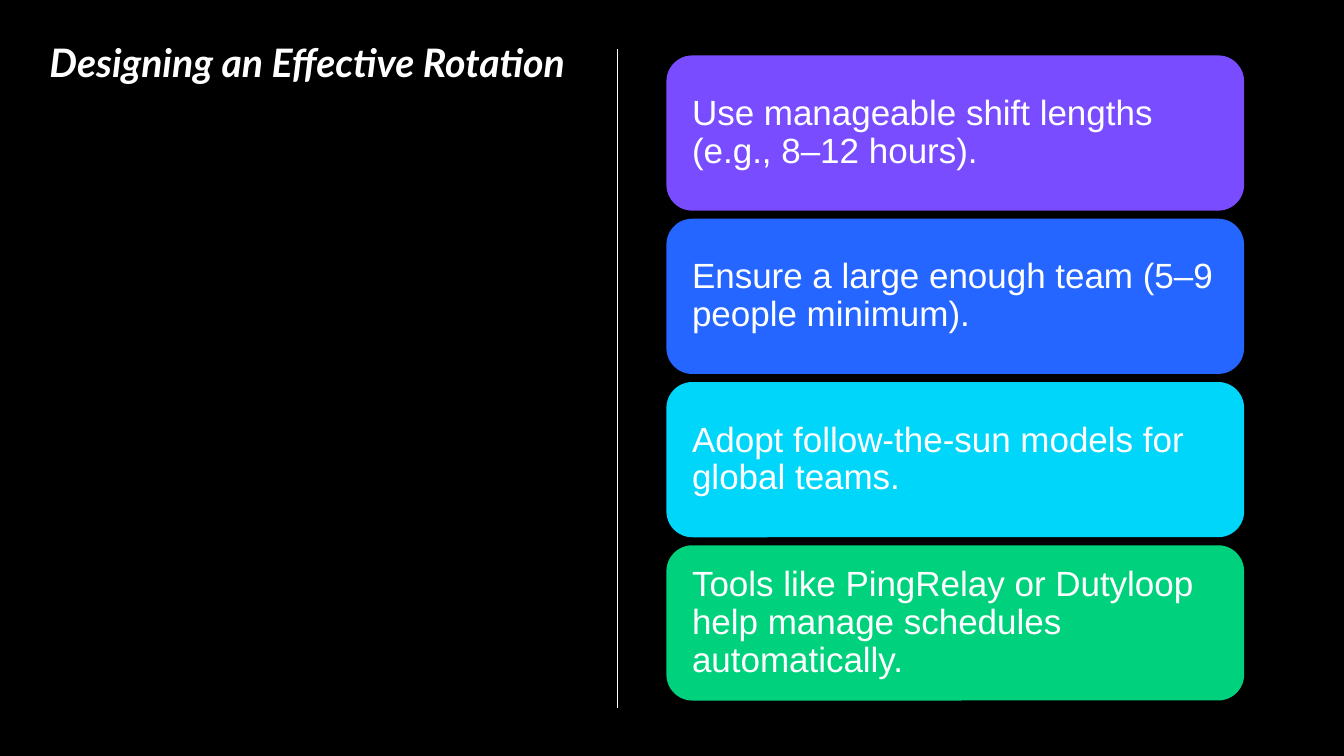
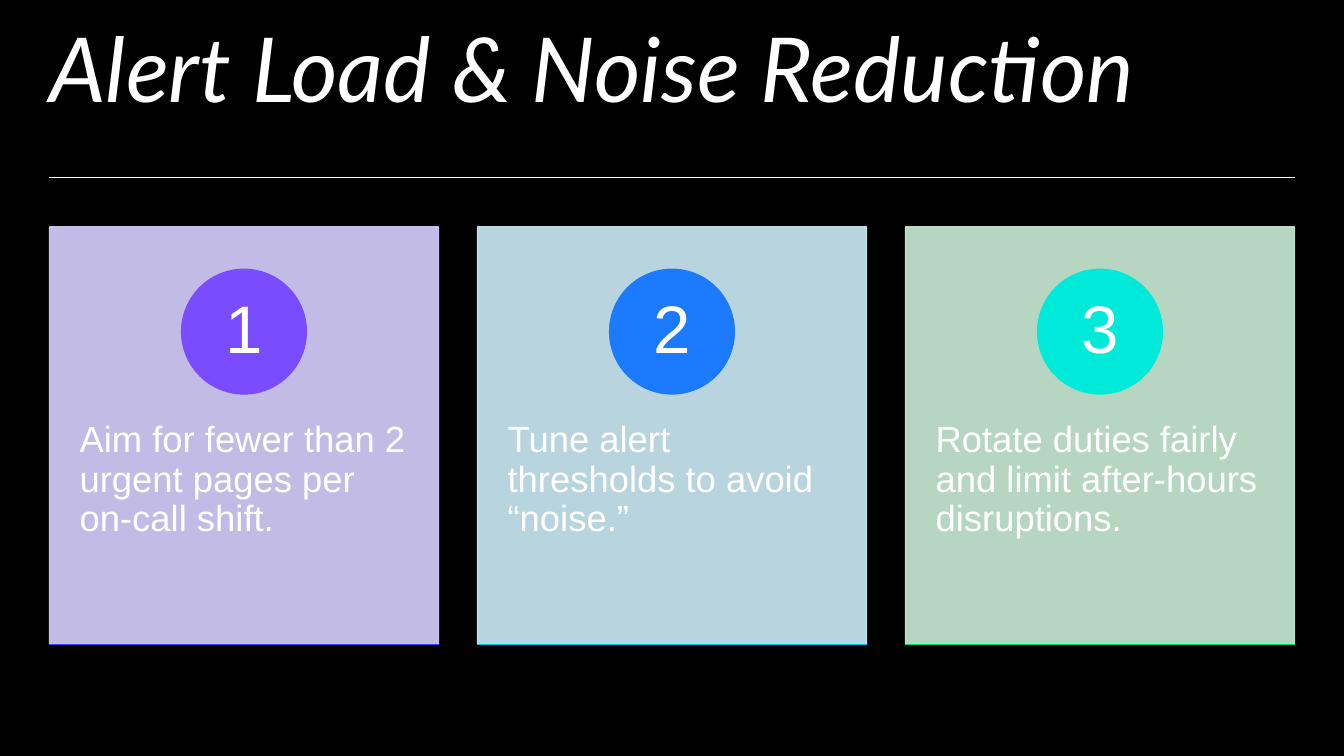
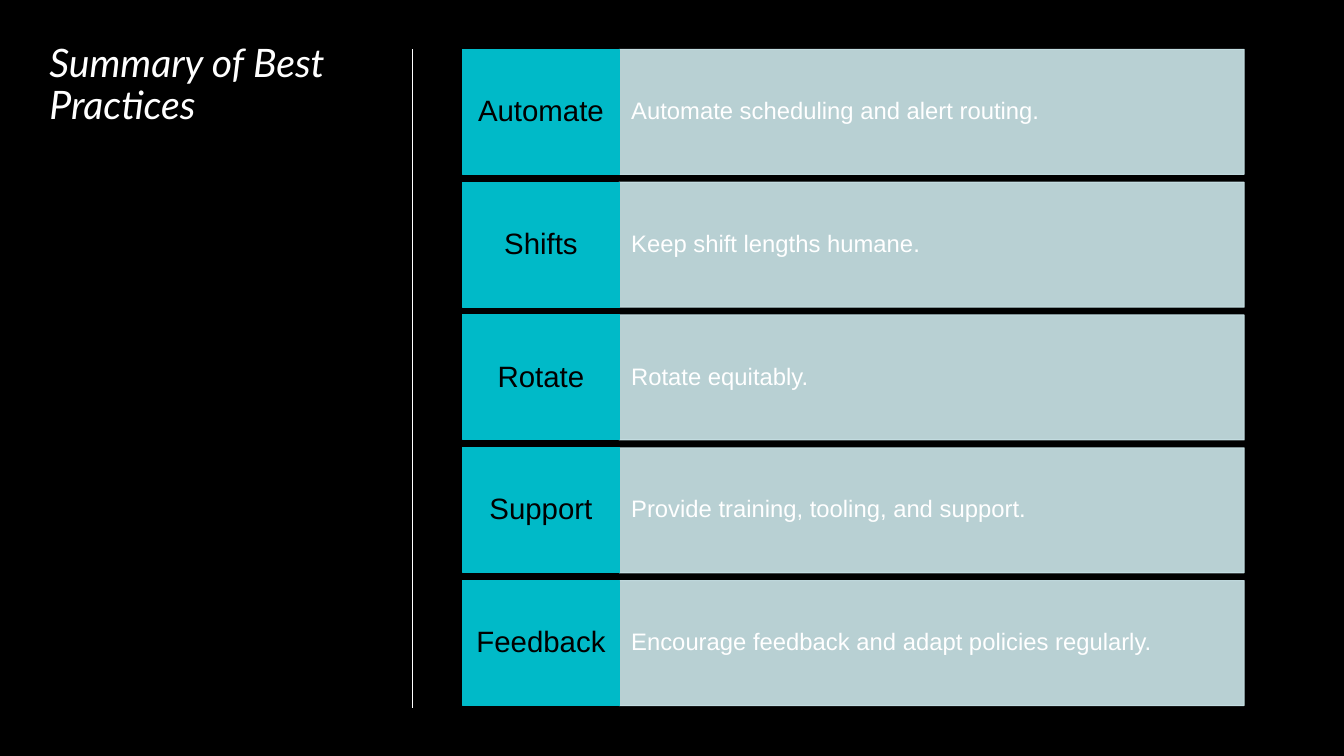
from lxml import etree
from pptx import Presentation
from pptx.dml.color import RGBColor
from pptx.enum.shapes import MSO_CONNECTOR, MSO_SHAPE
from pptx.enum.text import MSO_ANCHOR, PP_ALIGN
from pptx.oxml.ns import qn
from pptx.util import Inches, Pt

# Shared colours
BLACK = RGBColor(0x00, 0x00, 0x00)
WHITE = RGBColor(0xFF, 0xFF, 0xFF)
VIOLET = RGBColor(0x79, 0x4D, 0xFF)
BLUE = RGBColor(0x24, 0x66, 0xFF)
CYAN = RGBColor(0x00, 0xD5, 0xFA)
GREEN = RGBColor(0x00, 0xD1, 0x7D)
AZURE = RGBColor(0x1C, 0x7A, 0xFF)
AQUA = RGBColor(0x00, 0xEA, 0xD9)
INDIGO = RGBColor(0x34, 0x45, 0xFF)
SKY = RGBColor(0x03, 0xBE, 0xFF)
TEAL = RGBColor(0x00, 0xBA, 0xC8)
PALE_VIOLET = RGBColor(0xD7, 0xD0, 0xFF)
PALE_BLUE = RGBColor(0xCC, 0xED, 0xF8)
PALE_GREEN = RGBColor(0xCB, 0xEE, 0xD7)
PALE_TEAL = RGBColor(0xCC, 0xE7, 0xEB)

# Shared layout and text formats
MARGIN = 0.49
TITLE = {"name": "Lato", "size": Pt(28), "italic": True}
BODY = {"name": "Arial"}


def set_text(s, text, fmt, color=WHITE, align=PP_ALIGN.LEFT,
             anchor=MSO_ANCHOR.MIDDLE, insets=(0, 0, 0, 0)):
    """Write one paragraph; insets are left, top, right, bottom."""
    tf = s.text_frame
    tf.word_wrap = True
    tf.vertical_anchor = anchor
    for side, inset in zip(("left", "top", "right", "bottom"), insets):
        setattr(tf, f"margin_{side}", Inches(inset))
    p = tf.paragraphs[0]
    p.alignment = align
    p.line_spacing = 0.9
    r = p.add_run()
    r.text = text
    r.font.color.rgb = color
    for key, value in fmt.items():
        setattr(r.font, key, value)


def add_title(slide, text, x, y, w, h, **extra):
    s = slide.shapes.add_textbox(*map(Inches, (x, y, w, h)))
    set_text(s, text, {**TITLE, **extra}, anchor=MSO_ANCHOR.TOP)


def add_rule(slide, x1, y1, x2, y2, color=WHITE, width=0.75):
    line = slide.shapes.add_connector(
        MSO_CONNECTOR.STRAIGHT, *map(Inches, (x1, y1, x2, y2)))
    line.line.color.rgb = color
    line.line.width = Pt(width)
    etree.SubElement(line._element.spPr, qn("a:effectLst"))


def add_box(slide, kind, x, y, w, h, color, outlined=True, opacity=None):
    s = slide.shapes.add_shape(kind, *map(Inches, (x, y, w, h)))
    s.shadow.inherit = False
    s.fill.solid()
    s.fill.fore_color.rgb = color
    if outlined:
        s.line.color.rgb = color
        s.line.width = Pt(0.75)
    else:
        s.line.fill.background()
    if opacity is not None:
        for clr in s._element.spPr.iter(qn("a:srgbClr")):
            etree.SubElement(clr, qn("a:alpha"), val=str(opacity * 1000))
    return s


def add_numbered_card(slide, x, number, text, pale, accent, edge):
    y, w, h, badge = 2.25, 3.86, 4.14, 1.24
    card = add_box(slide, MSO_SHAPE.RECTANGLE, x, y, w, h, pale, opacity=90)
    set_text(card, text, {**BODY, "size": Pt(26)}, anchor=MSO_ANCHOR.TOP,
             insets=(0.3, 1.93, 0.3, 0.36))
    s = add_box(slide, MSO_SHAPE.OVAL, x + (w - badge) / 2, y + 0.42,
                badge, badge, accent)
    set_text(s, str(number), {**BODY, "size": Pt(48)}, align=PP_ALIGN.CENTER)
    add_rule(slide, x, y + h, x + w, y + h, edge)


def add_practice_row(slide, y, h, label, text):
    x, label_w, text_w = 4.59, 1.55, 6.2
    s = add_box(slide, MSO_SHAPE.RECTANGLE, x + label_w, y, text_w, h,
                PALE_TEAL, opacity=90)
    set_text(s, text, {**BODY, "size": Pt(17)}, insets=(0.12, 0.32, 0.12, 0.32))
    s = add_box(slide, MSO_SHAPE.RECTANGLE, x, y, label_w, h, TEAL)
    set_text(s, label, {**BODY, "size": Pt(21)}, BLACK, PP_ALIGN.CENTER,
             insets=(0.08, 0.12, 0.08, 0.12))


def build_rotation(slide):
    add_title(slide, "Designing an Effective Rotation",
              MARGIN, 0.43, 5.13, 6.52, bold=True)
    add_rule(slide, 6.12, MARGIN, 6.12, 7.02)
    tips = [
        ("Use manageable shift lengths (e.g., 8–12 hours).", VIOLET),
        ("Ensure a large enough team (5–9 people minimum).", BLUE),
        ("Adopt follow-the-sun models for global teams.", CYAN),
        ("Tools like PingRelay or Dutyloop help manage schedules "
         "automatically.", GREEN),
    ]
    for i, (text, color) in enumerate(tips):
        s = add_box(slide, MSO_SHAPE.ROUNDED_RECTANGLE, 6.61, 0.55 + i * 1.62,
                    5.73, 1.54, color, outlined=False)
        set_text(s, text, {**BODY, "size": Pt(25)},
                 insets=(0.18, 0.1, 0.18, 0.1))


def build_alert_load(slide):
    add_title(slide, "Alert Load & Noise Reduction",
              MARGIN, 0.25, 12.36, 1.08, size=Pt(64))
    add_rule(slide, MARGIN, 1.76, 12.84, 1.76, width=0.5)
    cards = [
        ("Aim for fewer than 2 urgent pages per on-call shift.",
         PALE_VIOLET, VIOLET, INDIGO),
        ("Tune alert thresholds to avoid “noise.”", PALE_BLUE, AZURE, SKY),
        ("Rotate duties fairly and limit after-hours disruptions.",
         PALE_GREEN, AQUA, GREEN),
    ]
    for i, card in enumerate(cards):
        add_numbered_card(slide, MARGIN + i * 4.245, i + 1, *card)


def build_summary(slide):
    add_title(slide, "Summary of Best Practices", MARGIN, 0.43, 3.12, 6.52)
    add_rule(slide, 4.09, MARGIN, 4.09, 7.02)
    practices = [
        ("Automate", "Automate scheduling and alert routing."),
        ("Shifts", "Keep shift lengths humane."),
        ("Rotate", "Rotate equitably."),
        ("Support", "Provide training, tooling, and support."),
        ("Feedback", "Encourage feedback and adapt policies regularly."),
    ]
    h, bottom = 1.24, 7
    pitch = (bottom - MARGIN - h) / (len(practices) - 1)
    for i, (label, text) in enumerate(practices):
        add_practice_row(slide, MARGIN + i * pitch, h, label, text)


def main():
    prs = Presentation()
    prs.slide_width, prs.slide_height = Inches(13.33), Inches(7.5)

    # Black background for every slide
    fill = prs.slide_master.background.fill
    fill.solid()
    fill.fore_color.rgb = BLACK

    for build in (build_rotation, build_alert_load, build_summary):
        build(prs.slides.add_slide(prs.slide_layouts[6]))
    prs.save("out.pptx")


if __name__ == "__main__":
    main()
